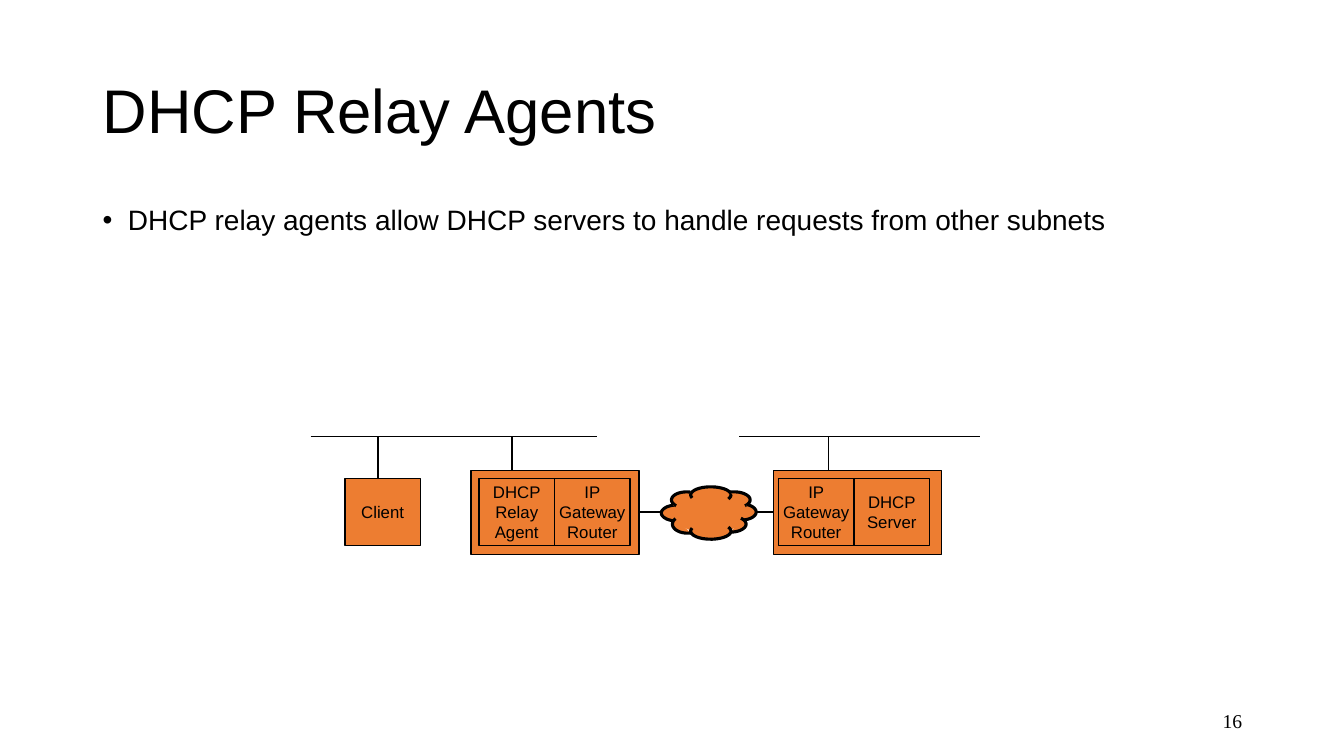
from dataclasses import dataclass
from math import cos, radians, sin

from lxml import etree
from pptx import Presentation
from pptx.dml.color import RGBColor
from pptx.enum.shapes import MSO_CONNECTOR, MSO_SHAPE
from pptx.enum.text import MSO_ANCHOR, PP_ALIGN
from pptx.oxml.ns import qn
from pptx.util import Inches, Pt

RECTANGLE, OVAL = MSO_SHAPE.RECTANGLE, MSO_SHAPE.OVAL
STRAIGHT = MSO_CONNECTOR.STRAIGHT
TOP, MIDDLE = MSO_ANCHOR.TOP, MSO_ANCHOR.MIDDLE
LEFT, CENTER, RIGHT = PP_ALIGN.LEFT, PP_ALIGN.CENTER, PP_ALIGN.RIGHT


@dataclass(frozen=True)
class Theme:
    ink: RGBColor = RGBColor(0x00, 0x00, 0x00)
    orange: RGBColor = RGBColor(0xED, 0x7D, 0x31)
    font: str = "Arial"
    number_font: str = "Times New Roman"
    title_size: int = 44
    body_size: int = 20
    number_size: int = 14
    label_size: int = 12
    thin: float = 1
    thick: float = 2.25


THEME = Theme()

NETWORK_Y = 4.33
LINK_Y = 5.08
HOST_TOP, HOST_WIDTH, HOST_HEIGHT = 4.67, 1.67, 0.83
NODE_TOP, NODE_WIDTH, NODE_HEIGHT = 4.75, 0.75, 0.66

HOST_LEFTS = (4.67, 7.67)
NODES = (
    (3.42, "Client"),
    (4.75, "DHCP\nRelay\nAgent"),
    (5.5, "IP\nGateway\nRouter"),
    (7.72, "IP\nGateway\nRouter"),
    (8.47, "DHCP\nServer"),
)
LINES = (
    (3.08, NETWORK_Y, 5.92, NETWORK_Y),
    (7.33, NETWORK_Y, 9.72, NETWORK_Y),
    (3.75, NODE_TOP, 3.75, NETWORK_Y),
    (5.08, HOST_TOP, 5.08, NETWORK_Y),
    (8.22, HOST_TOP, 8.22, NETWORK_Y),
    (6.33, LINK_Y, 7.67, LINK_Y),
)
# Centre x, centre y, radius x, radius y, start angle, end angle
CLOUD_LOBES = (
    (7.05, 4.91, 0.2, 0.08, 158, 390),
    (7.28, 4.96, 0.16, 0.08, 255, 407),
    (7.35, 5.08, 0.15, 0.08, 293, 438),
    (6.81, 4.96, 0.15, 0.08, 134, 285),
    (6.72, 5.09, 0.16, 0.08, 104, 256),
    (6.82, 5.2, 0.15, 0.09, 78, 217),
    (7.24, 5.2, 0.16, 0.08, -47, 86),
    (7.05, 5.27, 0.2, 0.08, -30, 202),
)
ARC_STEPS = 24


def format_paragraph(paragraph, size, font=THEME.font, align=LEFT):
    paragraph.alignment = align
    for run in paragraph.runs:
        run.font.size = Pt(size)
        run.font.name = font
        run.font.color.rgb = THEME.ink


def add_text(slide, box, text, size, anchor=MIDDLE, font=THEME.font, align=LEFT):
    """Add a one-paragraph text box and return the paragraph."""
    frame = slide.shapes.add_textbox(*map(Inches, box)).text_frame
    frame.word_wrap = True
    frame.vertical_anchor = anchor
    frame.text = text
    paragraph = frame.paragraphs[0]
    format_paragraph(paragraph, size, font, align)
    return paragraph


def add_bullet(paragraph):
    properties = paragraph._p.get_or_add_pPr()
    properties.set("marL", str(Inches(0.25)))
    properties.set("indent", str(Inches(-0.25)))
    font = etree.SubElement(properties, qn("a:buFont"))
    font.set("typeface", THEME.font)
    etree.SubElement(properties, qn("a:buChar")).set("char", "•")


def paint(shape, line_width=THEME.thin):
    shape.shadow.inherit = False
    shape.fill.solid()
    shape.fill.fore_color.rgb = THEME.orange
    shape.line.color.rgb = THEME.ink
    shape.line.width = Pt(line_width)


def add_box(slide, left, top, width, height, label=""):
    shape = slide.shapes.add_shape(
        RECTANGLE, Inches(left), Inches(top), Inches(width), Inches(height))
    paint(shape)
    if label:
        frame = shape.text_frame
        frame.word_wrap = False
        frame.vertical_anchor = MIDDLE
        frame.text = label
        for paragraph in frame.paragraphs:
            format_paragraph(paragraph, THEME.label_size, align=CENTER)


def add_line(slide, *ends):
    line = slide.shapes.add_connector(STRAIGHT, *map(Inches, ends))
    line.line.color.rgb = THEME.ink
    line.line.width = Pt(THEME.thin)
    etree.SubElement(line._element.spPr, qn("a:effectLst"))


def add_lobe(slide, center_x, center_y, radius_x, radius_y, start, end):
    """Add a filled open arc; angles run clockwise from the right."""
    angles = [radians(start + (end - start) * step / ARC_STEPS)
              for step in range(ARC_STEPS + 1)]
    points = [(Inches(center_x + radius_x * cos(angle)),
               Inches(center_y + radius_y * sin(angle))) for angle in angles]
    builder = slide.shapes.build_freeform(*points[0])
    builder.add_line_segments(points[1:], close=False)
    paint(builder.convert_to_shape(), THEME.thick)


def add_cloud(slide):
    core = slide.shapes.add_shape(
        OVAL, Inches(6.66), Inches(4.86), Inches(0.76), Inches(0.43))
    paint(core)
    core.line.fill.background()
    for lobe in CLOUD_LOBES:
        add_lobe(slide, *lobe)


def add_network(slide):
    for line in LINES:
        add_line(slide, *line)
    for left in HOST_LEFTS:
        add_box(slide, left, HOST_TOP, HOST_WIDTH, HOST_HEIGHT)
    for left, label in NODES:
        add_box(slide, left, NODE_TOP, NODE_WIDTH, NODE_HEIGHT, label)
    add_cloud(slide)


def main():
    presentation = Presentation()
    presentation.slide_width = Inches(13.33)
    presentation.slide_height = Inches(7.5)
    slide = presentation.slides.add_slide(presentation.slide_layouts[6])

    add_text(slide, (9.42, 6.95, 3, 0.4), "16", THEME.number_size,
             font=THEME.number_font, align=RIGHT)
    title = add_text(slide, (0.92, 0.4, 11.5, 1.45), "DHCP Relay Agents",
                     THEME.title_size)
    title.line_spacing = 0.9
    body = add_text(
        slide, (0.92, 2, 11.5, 4.76),
        "DHCP relay agents allow DHCP servers to handle requests from other subnets",
        THEME.body_size, anchor=TOP)
    add_bullet(body)
    body.line_spacing = 0.9
    add_network(slide)

    presentation.save("out.pptx")


if __name__ == "__main__":
    main()
